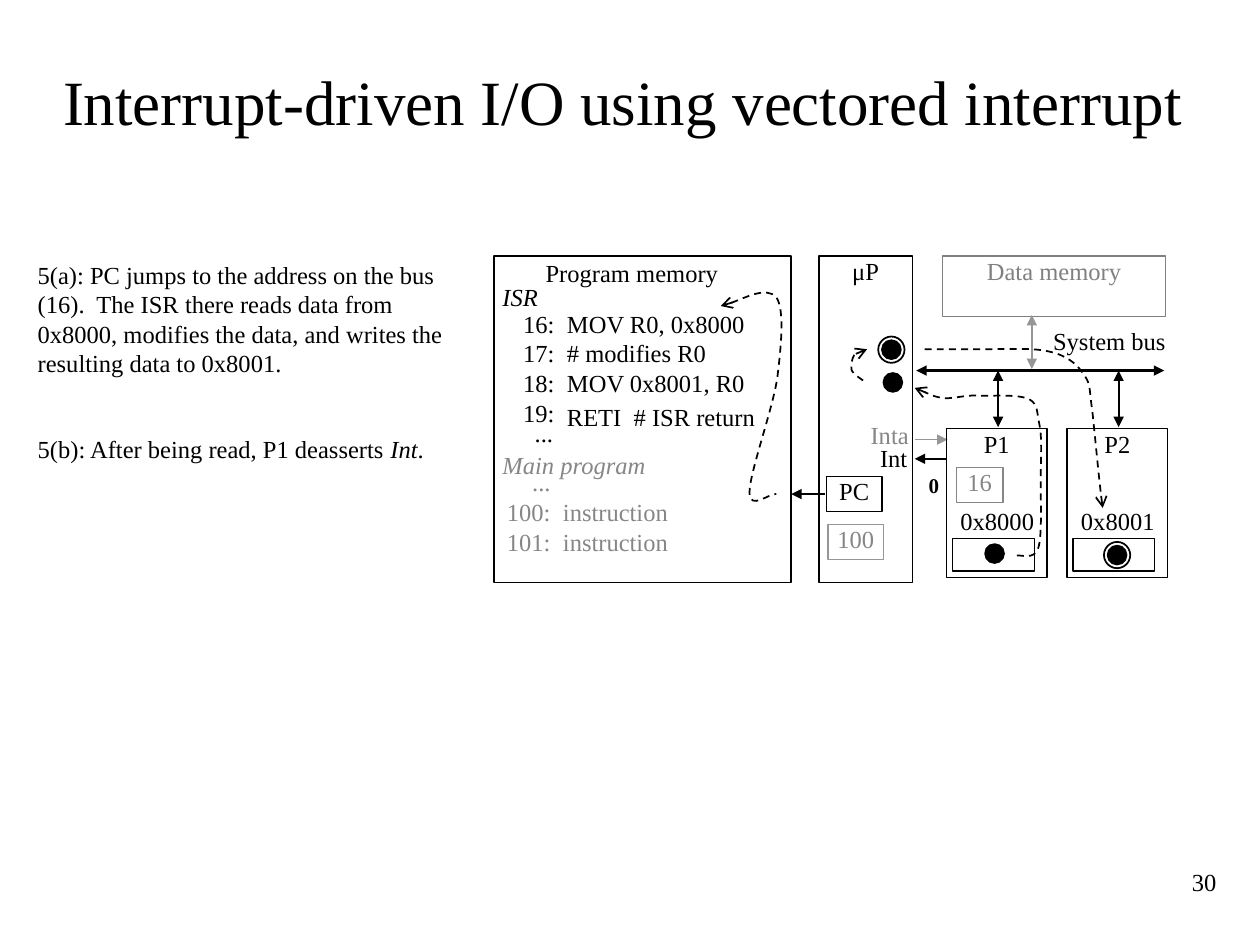
from lxml.etree import SubElement
from pptx import Presentation
from pptx.dml.color import RGBColor
from pptx.enum.dml import MSO_LINE
from pptx.enum.shapes import MSO_CONNECTOR, MSO_SHAPE
from pptx.enum.text import MSO_ANCHOR, PP_ALIGN
from pptx.oxml.ns import qn
from pptx.util import Cm, Pt

BLACK, WHITE = "000000", "FFFFFF"
GREY, MID_GREY, LIGHT_GREY = "868686", "808080", "969696"
LEFT, CENTER, RIGHT = PP_ALIGN.LEFT, PP_ALIGN.CENTER, PP_ALIGN.RIGHT
DEVICE_STEP = 2.43


def rgb(color):
    return RGBColor.from_string(color)


def write(p, text, size=14, color=BLACK, bold=False, italic=False, align=LEFT):
    p.alignment = align
    r = p.add_run()
    r.text = text
    r.font.name = "Times New Roman"
    r.font.size = Pt(size)
    r.font.color.rgb = rgb(color)
    r.font.bold = bold
    r.font.italic = italic


def set_frame(tf, anchor=MSO_ANCHOR.TOP):
    tf.word_wrap = True
    tf.margin_left = tf.margin_right = tf.margin_top = tf.margin_bottom = 0
    tf.vertical_anchor = anchor


def add_text(s, text, x, y, w, h=0.66, anchor=MSO_ANCHOR.TOP, **fmt):
    tf = s.shapes.add_textbox(Cm(x), Cm(y), Cm(w), Cm(h)).text_frame
    set_frame(tf, anchor)
    write(tf.paragraphs[0], text, **fmt)
    return tf


def add_shape(s, kind, x, y, w, h, line=BLACK, fill=None, width=0.75):
    sp = s.shapes.add_shape(kind, Cm(x), Cm(y), Cm(w), Cm(h))
    sp.shadow.inherit = False
    if fill:
        sp.fill.solid()
        sp.fill.fore_color.rgb = rgb(fill)
    else:
        sp.fill.background()
    sp.line.color.rgb = rgb(line)
    sp.line.width = Pt(width)
    return sp


def add_box(s, x, y, w, h, text="", line=BLACK, fill=None, color=BLACK):
    sp = add_shape(s, MSO_SHAPE.RECTANGLE, x, y, w, h, line, fill)
    set_frame(sp.text_frame)
    if text:
        write(sp.text_frame.paragraphs[0], text, color=color, align=CENTER)


def add_dot(s, cx, cy, ring=False):
    d = 0.38
    add_shape(s, MSO_SHAPE.OVAL, cx - d / 2, cy - d / 2, d, d, fill=BLACK, width=1)
    if ring:
        d = 0.53
        add_shape(s, MSO_SHAPE.OVAL, cx - d / 2, cy - d / 2, d, d, width=1)


def set_ends(sp, head, tail):
    ln = sp.line._get_or_add_ln()
    for tag, kind in (("a:headEnd", head), ("a:tailEnd", tail)):
        if kind:
            SubElement(ln, qn(tag), type=kind, w="med", len="med")


def add_arrow(s, x1, y1, x2, y2, color=BLACK, width=1.25, both=False):
    sp = s.shapes.add_connector(MSO_CONNECTOR.STRAIGHT, Cm(x1), Cm(y1), Cm(x2), Cm(y2))
    sp.line.color.rgb = rgb(color)
    sp.line.width = Pt(width)
    set_ends(sp, "triangle" if both else None, "triangle")
    SubElement(sp._element.spPr, qn("a:effectLst"))


def add_curve(s, points, head=None, tail=None):
    start, *rest = [(Cm(x), Cm(y)) for x, y in points]
    builder = s.shapes.build_freeform(*start)
    builder.add_line_segments(rest, close=False)
    sp = builder.convert_to_shape()
    sp.shadow.inherit = False
    sp.fill.background()
    sp.line.color.rgb = rgb(BLACK)
    sp.line.width = Pt(1)
    sp.line.dash_style = MSO_LINE.DASH
    set_ends(sp, head, tail)
    outline = sp._element.find(".//" + qn("a:path"))
    segments = outline.findall(qn("a:lnTo"))
    for i in range(0, len(segments), 3):
        bezier = SubElement(outline, qn("a:cubicBezTo"))
        for segment in segments[i:i + 3]:
            bezier.append(segment[0])
            outline.remove(segment)


def add_explanation(s):
    tf = add_text(
        s, "5(a): PC jumps to the address on the bus (16).  The ISR there reads data "
        "from 0x8000, modifies the data, and writes the resulting data to 0x8001.",
        0.76, 5.24, 8.64, 4.14)
    p = tf.add_paragraph()
    p.space_before = Pt(32)
    write(p, "5(b): After being read, P1 deasserts ")
    write(p, "Int", italic=True)
    write(p, ".")


def add_program_memory(s):
    add_box(s, 9.96, 5.16, 5.99, 6.58, fill=WHITE)
    add_text(s, "Program memory", 11, 5.21, 4.09)
    add_text(s, "ISR", 10.13, 5.69, 1.3, italic=True)
    add_text(s, "Main program", 10.13, 9.07, 3.51, italic=True, color=GREY)
    isr = [("16:", "MOV R0, 0x8000", 6.22), ("17:", "# modifies R0", 6.81),
           ("18:", "MOV 0x8001, R0", 7.42), ("19:", "RETI  # ISR return", 8.1)]
    main_program = [("100:", "instruction", 10.01), ("101:", "instruction", 10.62)]
    for rows, right, color in ((isr, 11.18, BLACK), (main_program, 11.1, GREY)):
        for number, code, y in rows:
            add_text(s, number, right - 1.27, min(y, 8.03) if rows is isr else y,
                     1.27, align=RIGHT, color=color)
            add_text(s, code, right + 0.25, y, 4.6, color=color)
    add_text(s, "...", 10.39, 8.43, 0.76, align=RIGHT)
    add_text(s, "...", 10.34, 9.42, 0.76, align=RIGHT, color=GREY)


def add_processor(s):
    add_box(s, 16.51, 5.16, 1.88, 6.58, "μP", fill=WHITE)
    add_box(s, 16.66, 9.6, 1.12, 0.71, "PC", fill=WHITE)
    add_box(s, 16.69, 10.57, 1.12, 0.71, "100", line=LIGHT_GREY, color=GREY)
    add_arrow(s, 16.64, 9.96, 15.95, 9.96)
    add_text(s, "Inta", 17.3, 8.46, 1.02, align=RIGHT, color=GREY)
    add_text(s, "Int", 17.45, 8.94, 0.84, align=RIGHT)
    add_arrow(s, 18.44, 8.86, 19.1, 8.86, LIGHT_GREY, 0.75)
    add_arrow(s, 19.08, 9.25, 18.44, 9.25, width=0.75)
    add_text(s, "0", 18.52, 9.53, 0.61, 0.51, size=12, bold=True, align=CENTER)


def add_bus_and_devices(s):
    add_box(s, 19, 5.16, 4.5, 1.22, "Data memory", line=MID_GREY, color=MID_GREY)
    add_arrow(s, 20.8, 6.35, 20.8, 7.44, LIGHT_GREY, both=True)
    add_arrow(s, 18.47, 7.47, 23.47, 7.47, both=True)
    add_text(s, "System bus", 21.03, 6.58, 2.67, align=CENTER)
    for i, (name, address) in enumerate((("P1", "0x8000"), ("P2", "0x8001"))):
        dx = i * DEVICE_STEP
        add_box(s, 19.08 + dx, 8.64, 2.03, 3, name)
        add_box(s, 19.2 + dx, 10.85, 1.65, 0.66)
        add_text(s, address, 19.23 + dx, 10.21, 1.75, align=CENTER)
        add_arrow(s, 20.12 + dx, 7.47, 20.12 + dx, 8.61, both=True)
    add_box(s, 19.28, 9.42, 0.94, 0.71, "16", line=GREY, color=GREY)


def add_data_flow(s):
    add_curve(s, [
        (14.53, 6.17), (14.71, 6.15), (15.44, 5.77), (15.65, 5.99), (15.82, 6.25),
        (15.75, 6.96), (15.67, 7.62), (15.57, 8.28), (15.11, 9.53), (15.11, 9.93),
        (15.11, 10.31), (15.52, 9.93), (15.65, 9.96)], head="arrow")
    add_curve(s, [
        (20.5, 11.2), (20.57, 11.18), (20.85, 11.3), (20.93, 11.05), (21.01, 10.82),
        (20.98, 10.13), (20.98, 9.7), (20.98, 9.3), (21.01, 8.84), (20.96, 8.59),
        (20.9, 8.31), (20.93, 8.15), (20.75, 8.05), (20.55, 7.95), (20.07, 7.98),
        (19.79, 7.98), (19.51, 7.95), (19.28, 8.03), (19.05, 8.03), (18.82, 8),
        (18.57, 7.87), (18.44, 7.82)], tail="arrow")
    add_curve(s, [
        (17.4, 7.67), (17.37, 7.65), (17.2, 7.54), (17.17, 7.47), (17.15, 7.37),
        (17.17, 7.24), (17.22, 7.16), (17.27, 7.11), (17.42, 7.06), (17.48, 7.04)],
        tail="arrow")
    add_curve(s, [
        (18.64, 7.04), (18.87, 7.04), (19.51, 7.04), (19.91, 7.04), (20.35, 7.04),
        (20.85, 7.01), (21.16, 7.09), (21.49, 7.16), (21.72, 7.34), (21.84, 7.54),
        (22, 7.75), (21.95, 7.82), (22.02, 8.28), (22.07, 8.74), (22.17, 9.83),
        (22.23, 10.24)], tail="arrow")
    add_dot(s, 20.05, 11.16)
    add_dot(s, 18, 7.71)
    add_dot(s, 17.97, 7.05, ring=True)
    add_dot(s, 22.52, 11.19, ring=True)


def main():
    prs = Presentation()
    prs.slide_width, prs.slide_height = Cm(25.4), Cm(19.05)
    s = prs.slides.add_slide(prs.slide_layouts[6])
    add_text(s, "Interrupt-driven I/O using vectored interrupt ", 1.07, 0.43, 23.29, 3.18,
             anchor=MSO_ANCHOR.MIDDLE, size=36, align=CENTER)
    add_explanation(s)
    add_program_memory(s)
    add_processor(s)
    add_bus_and_devices(s)
    add_data_flow(s)
    add_text(s, "30", 22.23, 17.48, 2.29, align=RIGHT)
    prs.save("out.pptx")


if __name__ == "__main__":
    main()
